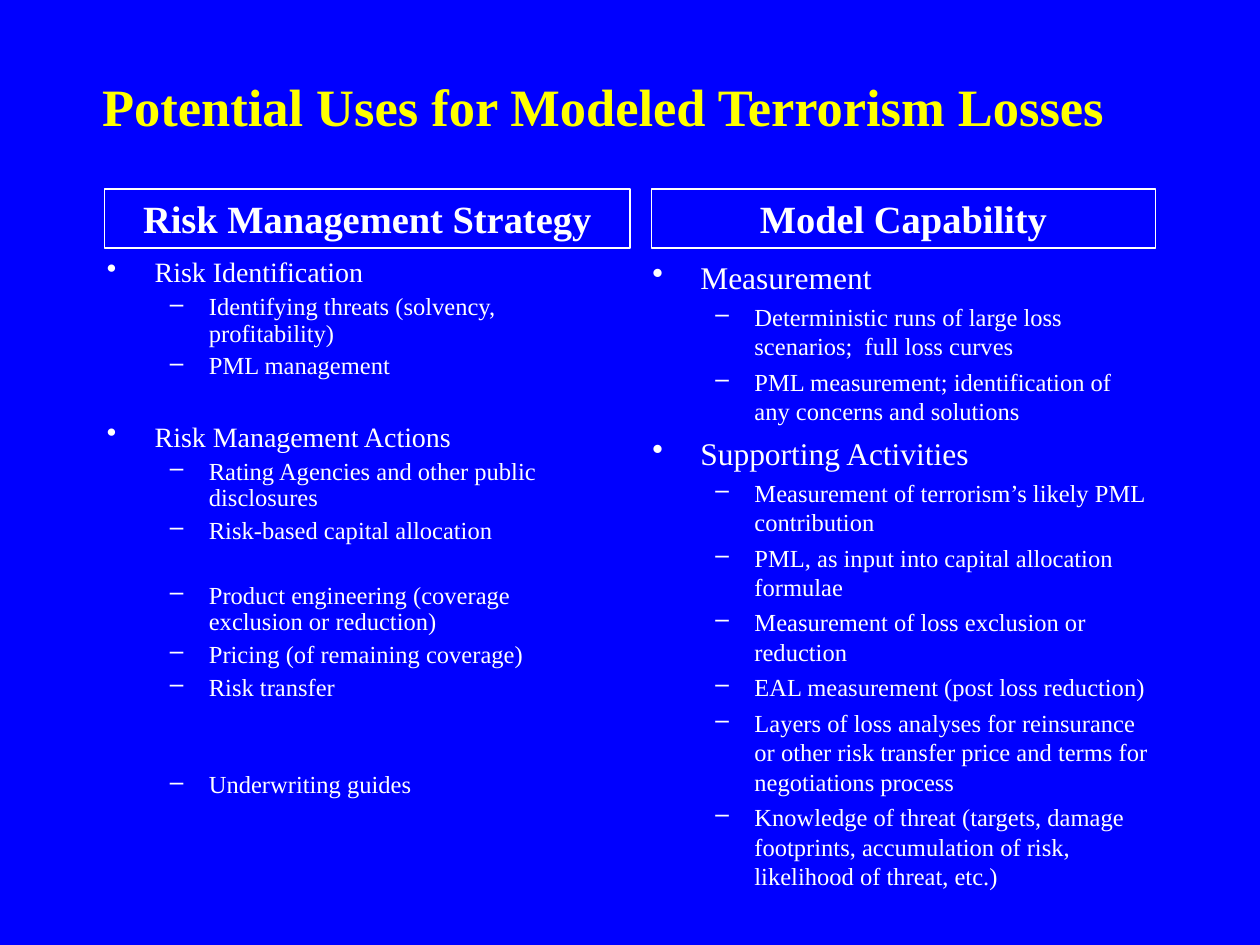
"""Build the slide on uses for modeled terrorism losses."""
from typing import NamedTuple

from lxml.etree import SubElement
from pptx import Presentation
from pptx.dml.color import RGBColor
from pptx.enum.shapes import MSO_SHAPE
from pptx.enum.text import MSO_ANCHOR, PP_ALIGN
from pptx.oxml.ns import qn
from pptx.slide import Slide
from pptx.text.text import TextFrame, _Paragraph
from pptx.util import Inches, Pt

FONT = "Times New Roman"
BLUE, YELLOW, WHITE = "0000FF", "FFFF00", "FFFFFF"
COLUMN_TOP, COLUMN_WIDTH = 2, 4.17
HEADING_TOP, HEADING_HEIGHT = 1.5, 0.47


class Level(NamedTuple):
    """Bullet character and indents of an outline level."""
    bullet: str
    margin: float
    hanging: float


class Item(NamedTuple):
    """One outline entry, with its own space before where a gap is wanted."""
    text: str
    level: int = 1
    before: float | None = None


class Column(NamedTuple):
    """A boxed heading with the outline below it."""
    heading: str
    heading_left: float
    heading_width: float
    left: float
    height: float
    topic_size: float
    line_spacing: float
    items: list[Item]


LEVELS = [Level("•", 0.38, 0.38), Level("–", 0.81, 0.31)]
DETAIL_SIZE = 14

COLUMNS = [
    Column("Risk Management Strategy", 0.83, 4.17, 0.75, 4.5, 16, 0.9, [
        Item("Risk Identification", 0),
        Item("Identifying threats (solvency, profitability)"),
        Item("PML management"),
        Item("Risk Management Actions", 0, 24.5),
        Item("Rating Agencies and other public disclosures"),
        Item("Risk-based capital allocation"),
        Item("Product engineering (coverage exclusion or reduction)", 1, 22),
        Item("Pricing (of remaining coverage)"),
        Item("Risk transfer"),
        Item("Underwriting guides", 1, 40.7),
    ]),
    Column("Model Capability", 5.17, 4, 5.08, 5.33, 18, 1, [
        Item("Measurement", 0),
        Item("Deterministic runs of large loss scenarios;  full loss curves"),
        Item("PML measurement; identification of any concerns and solutions"),
        Item("Supporting Activities", 0),
        Item("Measurement of terrorism’s likely PML contribution"),
        Item("PML, as input into capital allocation formulae"),
        Item("Measurement of loss exclusion or reduction"),
        Item("EAL measurement (post loss reduction)"),
        Item("Layers of loss analyses for reinsurance or other risk transfer "
             "price and terms for negotiations process"),
        Item("Knowledge of threat (targets, damage footprints, accumulation "
             "of risk, likelihood of threat, etc.)"),
    ]),
]


def color(code: str) -> RGBColor:
    """Turn a hex string into a colour."""
    return RGBColor.from_string(code)


def add_run(paragraph: _Paragraph, text: str, size: float,
            code: str = WHITE, bold: bool = False) -> None:
    """Append a styled run to a paragraph."""
    run = paragraph.add_run()
    run.text = text
    run.font.name = FONT
    run.font.size = Pt(size)
    run.font.bold = bold
    run.font.color.rgb = color(code)


def add_frame(slide: Slide, left: float, top: float,
              width: float, height: float) -> TextFrame:
    """Add a wrapping text box and return its text frame."""
    frame = slide.shapes.add_textbox(
        Inches(left), Inches(top), Inches(width), Inches(height)).text_frame
    frame.word_wrap = True
    return frame


def set_level(paragraph: _Paragraph, level: Level) -> None:
    """Give a paragraph the bullet and indents of its level."""
    properties = paragraph._p.get_or_add_pPr()
    properties.set("marL", str(Inches(level.margin)))
    properties.set("indent", str(-Inches(level.hanging)))
    SubElement(properties, qn("a:buChar")).set("char", level.bullet)


def add_title(slide: Slide, text: str) -> None:
    """Add the slide title."""
    frame = add_frame(slide, 0, 0.5, 9.58, 0.67)
    frame.vertical_anchor = MSO_ANCHOR.MIDDLE
    title = frame.paragraphs[0]
    title.alignment = PP_ALIGN.CENTER
    add_run(title, text, 30, YELLOW, True)


def add_heading(slide: Slide, column: Column) -> None:
    """Add the outlined heading of a column."""
    box = slide.shapes.add_shape(
        MSO_SHAPE.RECTANGLE, Inches(column.heading_left), Inches(HEADING_TOP),
        Inches(column.heading_width), Inches(HEADING_HEIGHT))
    box.shadow.inherit = False
    box.fill.background()
    box.line.color.rgb = color(WHITE)
    box.line.width = Pt(0.75)
    box.text_frame.word_wrap = True
    box.text_frame.vertical_anchor = MSO_ANCHOR.TOP
    heading = box.text_frame.paragraphs[0]
    heading.alignment = PP_ALIGN.CENTER
    add_run(heading, column.heading, 22, bold=True)


def add_outline(slide: Slide, column: Column) -> None:
    """Add the bulleted outline of a column."""
    frame = add_frame(slide, column.left, COLUMN_TOP, COLUMN_WIDTH, column.height)
    for index, item in enumerate(column.items):
        entry = frame.add_paragraph() if index else frame.paragraphs[0]
        size = DETAIL_SIZE if item.level else column.topic_size
        entry.level = item.level
        entry.line_spacing = column.line_spacing
        if index:
            entry.space_before = Pt(item.before or size / 4)
        set_level(entry, LEVELS[item.level])
        add_run(entry, item.text, size)


def main() -> None:
    """Build and save the presentation."""
    deck = Presentation()
    deck.slide_width, deck.slide_height = Inches(10), Inches(7.5)
    slide = deck.slides.add_slide(deck.slide_layouts[6])
    slide.background.fill.solid()
    slide.background.fill.fore_color.rgb = color(BLUE)
    add_title(slide, "Potential Uses for Modeled Terrorism Losses")
    for column in COLUMNS:
        add_outline(slide, column)
        add_heading(slide, column)
    deck.save("out.pptx")


if __name__ == "__main__":
    main()
